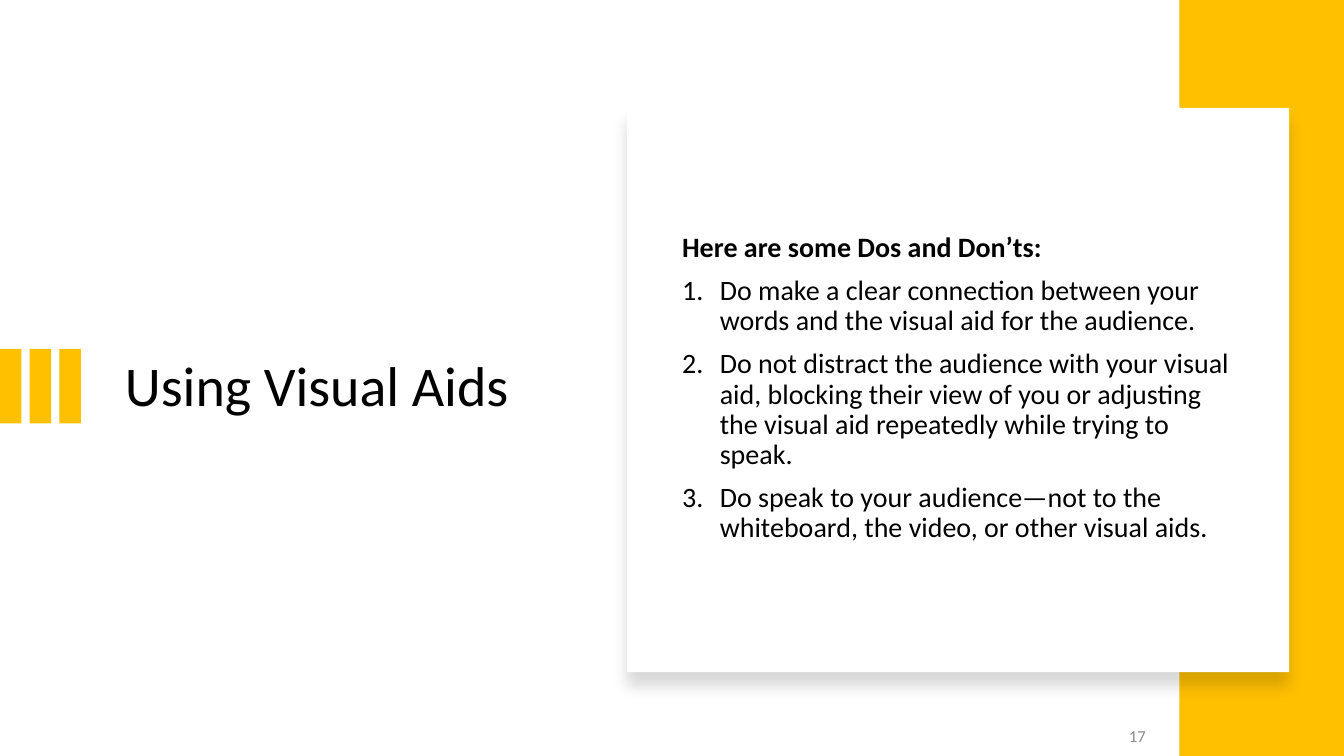
from lxml.etree import SubElement
from pptx import Presentation
from pptx.dml.color import RGBColor
from pptx.enum.shapes import MSO_SHAPE as Shape
from pptx.enum.text import MSO_ANCHOR as Anchor, PP_ALIGN as Align
from pptx.oxml.ns import qn
from pptx.util import Cm, Pt

BLACK = RGBColor(0, 0, 0)
WHITE = RGBColor(255, 255, 255)
GOLD = RGBColor(255, 192, 0)
GREY = RGBColor(140, 140, 140)

HEADING = "Here are some Dos and Don’ts:"
ADVICE = [
    "Do make a clear connection between your words and the visual aid for the audience.",
    "Do not distract the audience with your visual aid, blocking their view of you "
    "or adjusting the visual aid repeatedly while trying to speak.",
    "Do speak to your audience—not to the whiteboard, the video, or other visual aids.",
]


class PageBuilder:
    font = "Calibri"

    def __init__(self, page):
        self.page = page

    def rectangle(self, left, top, width, height, color):
        box = self.page.shapes.add_shape(
            Shape.RECTANGLE, Cm(left), Cm(top), Cm(width), Cm(height))
        box.shadow.inherit = False
        box.fill.solid()
        box.fill.fore_color.rgb = color
        box.line.fill.background()
        return box

    def card(self, left, top, width, height):
        """Draw a white panel with a soft shadow below it."""
        box = self.rectangle(left, top, width, height, WHITE)
        effects = box.element.spPr.find(qn("a:effectLst"))
        shadow = SubElement(effects, qn("a:outerShdw"), blurRad=str(Pt(11)),
                            dist=str(Pt(10)), dir="5400000", algn="t", rotWithShape="0")
        color = SubElement(shadow, qn("a:srgbClr"), val=str(BLACK))
        SubElement(color, qn("a:alpha"), val="15000")

    def text(self, left, top, width, height, lines, size, color=BLACK, spacing=0.9):
        box = self.page.shapes.add_textbox(Cm(left), Cm(top), Cm(width), Cm(height))
        frame = box.text_frame
        frame.word_wrap = True
        frame.vertical_anchor = Anchor.MIDDLE
        frame.text = "\n".join(lines)
        for para in frame.paragraphs:
            para.line_spacing = spacing
            for span in para.runs:
                span.font.name = self.font
                span.font.size = Pt(size)
                span.font.color.rgb = color
        return frame.paragraphs

    def numbered_list(self, left, top, width, height, heading, items, size):
        title, *points = self.text(left, top, width, height, [heading, *items], size)
        title.runs[0].font.bold = True
        for para in points:
            para.space_before = Pt(9)
            properties = para._p.get_or_add_pPr()
            properties.set("marL", str(Cm(0.95)))
            properties.set("indent", str(-Cm(0.95)))
            SubElement(properties, qn("a:buFont"), typeface="+mj-lt")
            SubElement(properties, qn("a:buAutoNum"), type="arabicPeriod")


def main():
    deck = Presentation()
    deck.slide_width, deck.slide_height = Cm(33.87), Cm(19.05)
    builder = PageBuilder(deck.slides.add_slide(deck.slide_layouts[6]))

    builder.text(2.9, 3.71, 10.82, 12.17, ["Using Visual Aids"], 40)
    for index in range(3):
        builder.rectangle(index * 0.75, 8.79, 0.54, 1.88, GOLD)
    builder.rectangle(29.72, 0, 4.15, 19.05, GOLD)
    builder.card(15.8, 2.72, 16.69, 14.22)
    builder.numbered_list(16.94, 3.71, 14.6, 12.17, HEADING, ADVICE, 20)

    number, = builder.text(26.34, 18.03, 2.79, 1.02, ["17"], 12, GREY, 1.0)
    number.alignment = Align.RIGHT
    number.space_after = Pt(6)

    deck.save("out.pptx")


if __name__ == "__main__":
    main()
